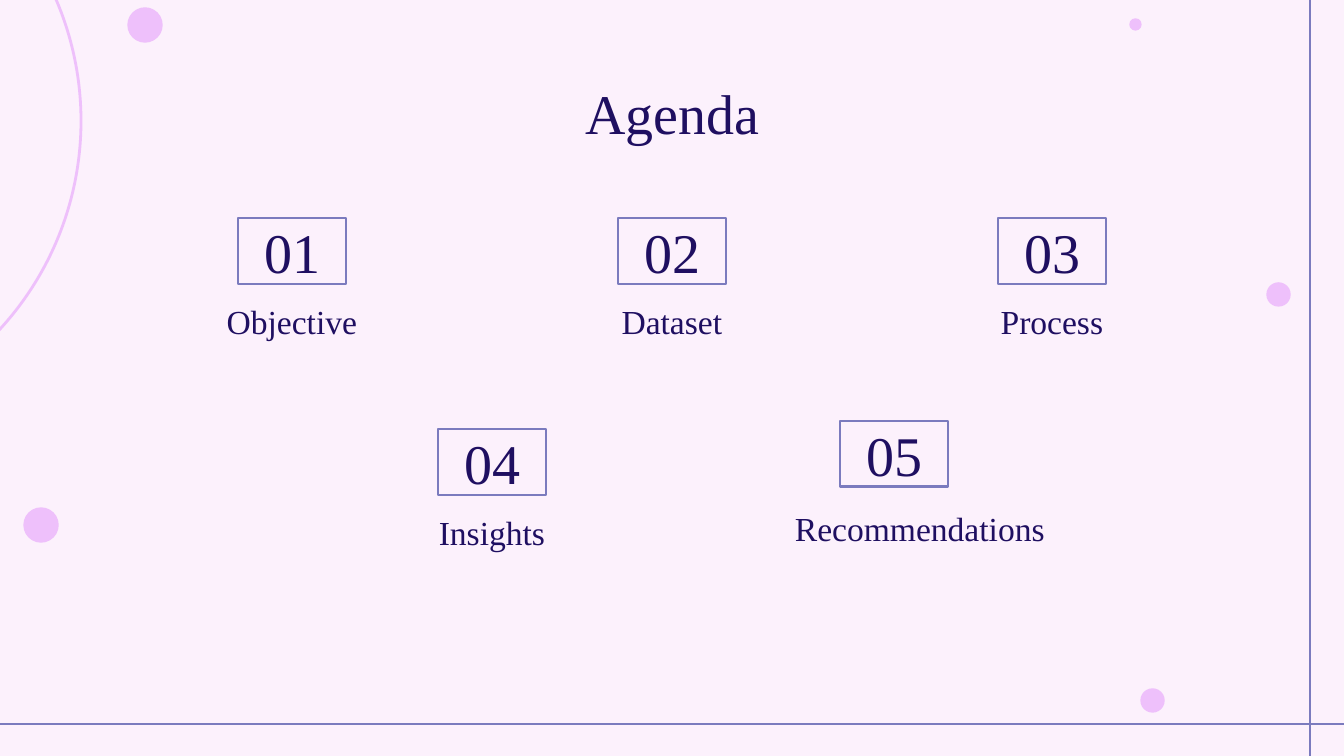
"""Build the agenda slide with five numbered topics."""
from dataclasses import dataclass

from lxml import etree
from pptx import Presentation
from pptx.dml.color import RGBColor
from pptx.enum.shapes import MSO_CONNECTOR, MSO_SHAPE
from pptx.enum.text import MSO_ANCHOR, PP_ALIGN
from pptx.oxml.ns import qn
from pptx.shapes.autoshape import Shape
from pptx.util import Emu, Pt

RECT = MSO_SHAPE.RECTANGLE
OVAL = MSO_SHAPE.OVAL
LINE = MSO_CONNECTOR.STRAIGHT
TOP = MSO_ANCHOR.TOP
MIDDLE = MSO_ANCHOR.MIDDLE
CENTER = PP_ALIGN.CENTER

PAPER = RGBColor(0xFC, 0xF1, 0xFC)
PINK = RGBColor(0xEE, 0xC0, 0xFB)
BLUE = RGBColor(0x7B, 0x7B, 0xBE)
INK = RGBColor(0x1F, 0x0F, 0x61)
FONT = "Times New Roman"

SCALE = 914400 / 134.4
WIDTH, HEIGHT = 1344, 756
INSET = 13
BOX_W, BOX_H = 108, 66
LABEL_W = 372
LEFT, STEP, ROW = 238, 380, 218


@dataclass
class Dot:
    x: int
    y: int
    size: int


@dataclass
class Topic:
    name: str
    x: int
    y: int
    shift: int = 0
    drop: int = 70


DOTS = [
    Dot(128, 8, 34),
    Dot(1141, 689, 23),
    Dot(1130, 19, 11),
    Dot(1267, 283, 23),
    Dot(24, 508, 34),
]
TOPICS = [
    Topic("Objective", LEFT, ROW),
    Topic("Dataset", LEFT + STEP, ROW),
    Topic("Process", LEFT + 2 * STEP, ROW),
    Topic("Insights", 438, 429),
    Topic("Recommendations", 840, 421, shift=26, drop=74),
]


def px(count: int) -> Emu:
    """Turn pixels into EMU."""
    return Emu(round(count * SCALE))


def outline(slide, kind, x: int, y: int, w: int, h: int, color: RGBColor,
            weight: float = 1.5) -> Shape:
    """Add an unfilled shape with a coloured line."""
    shape = slide.shapes.add_shape(kind, px(x), px(y), px(w), px(h))
    shape.shadow.inherit = False
    shape.fill.background()
    shape.line.color.rgb = color
    shape.line.width = Pt(weight)
    return shape


def write(shape: Shape, text: str, *, size: int = 30, anchor=TOP) -> None:
    """Set centred text inside a shape."""
    frame = shape.text_frame
    frame.word_wrap = True
    frame.vertical_anchor = anchor
    frame.margin_left = frame.margin_right = px(INSET)
    frame.margin_top = frame.margin_bottom = px(INSET)
    para = frame.paragraphs[0]
    para.alignment = CENTER
    para.font.name = FONT
    para.font.size = Pt(size)
    para.font.color.rgb = INK
    para.add_run().text = text


def draw_dot(slide, dot: Dot) -> None:
    """Draw one filled dot."""
    shape = outline(slide, OVAL, dot.x, dot.y, dot.size, dot.size, PINK, 0.75)
    shape.fill.solid()
    shape.fill.fore_color.rgb = PINK


def draw_rule(slide, x1: int, y1: int, x2: int, y2: int) -> None:
    """Draw one straight rule."""
    rule = slide.shapes.add_connector(LINE, px(x1), px(y1), px(x2), px(y2))
    rule.line.color.rgb = BLUE
    rule.line.width = Pt(1.5)
    etree.SubElement(rule._element.spPr, qn("a:effectLst"))


def draw_topic(slide, index: int, topic: Topic) -> None:
    """Draw a boxed number with its label below."""
    box = outline(slide, RECT, topic.x, topic.y, BOX_W, BOX_H, BLUE)
    write(box, f"{index:02}", anchor=MIDDLE)
    left = topic.x + (BOX_W - LABEL_W) // 2 + topic.shift
    label = slide.shapes.add_textbox(
        px(left), px(topic.y + topic.drop), px(LABEL_W), px(BOX_H))
    write(label, topic.name, size=18)


def main() -> None:
    """Build and save the deck."""
    deck = Presentation()
    deck.slide_width, deck.slide_height = px(WIDTH), px(HEIGHT)
    slide = deck.slides.add_slide(deck.slide_layouts[6])
    slide.background.fill.solid()
    slide.background.fill.fore_color.rgb = PAPER

    outline(slide, OVAL, -535, -187, 616, 616, PINK)
    for dot in DOTS:
        draw_dot(slide, dot)
    draw_rule(slide, 1310, 0, 1310, HEIGHT)
    draw_rule(slide, 0, 724, WIDTH, 724)

    title = slide.shapes.add_textbox(px(106), px(66), px(1133), px(85))
    write(title, "Agenda")
    for index, topic in enumerate(TOPICS, 1):
        draw_topic(slide, index, topic)
    deck.save("out.pptx")


if __name__ == "__main__":
    main()
